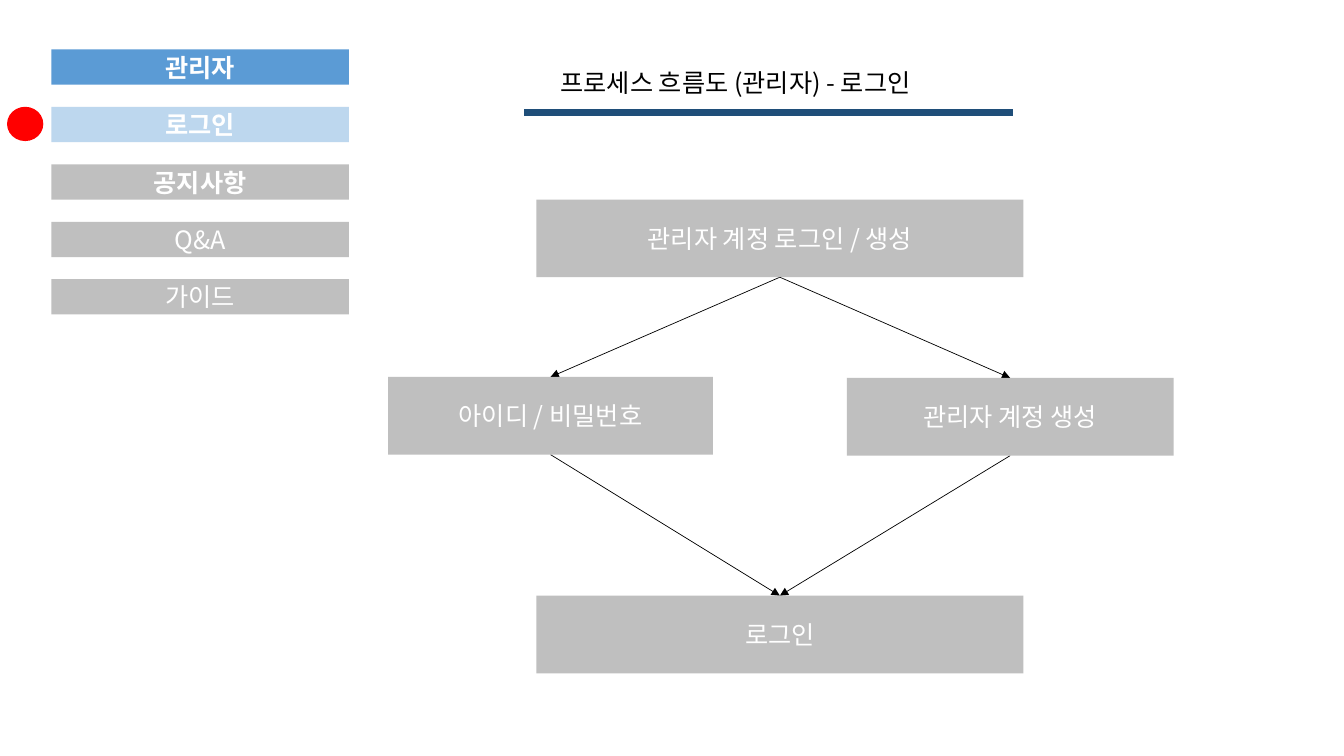
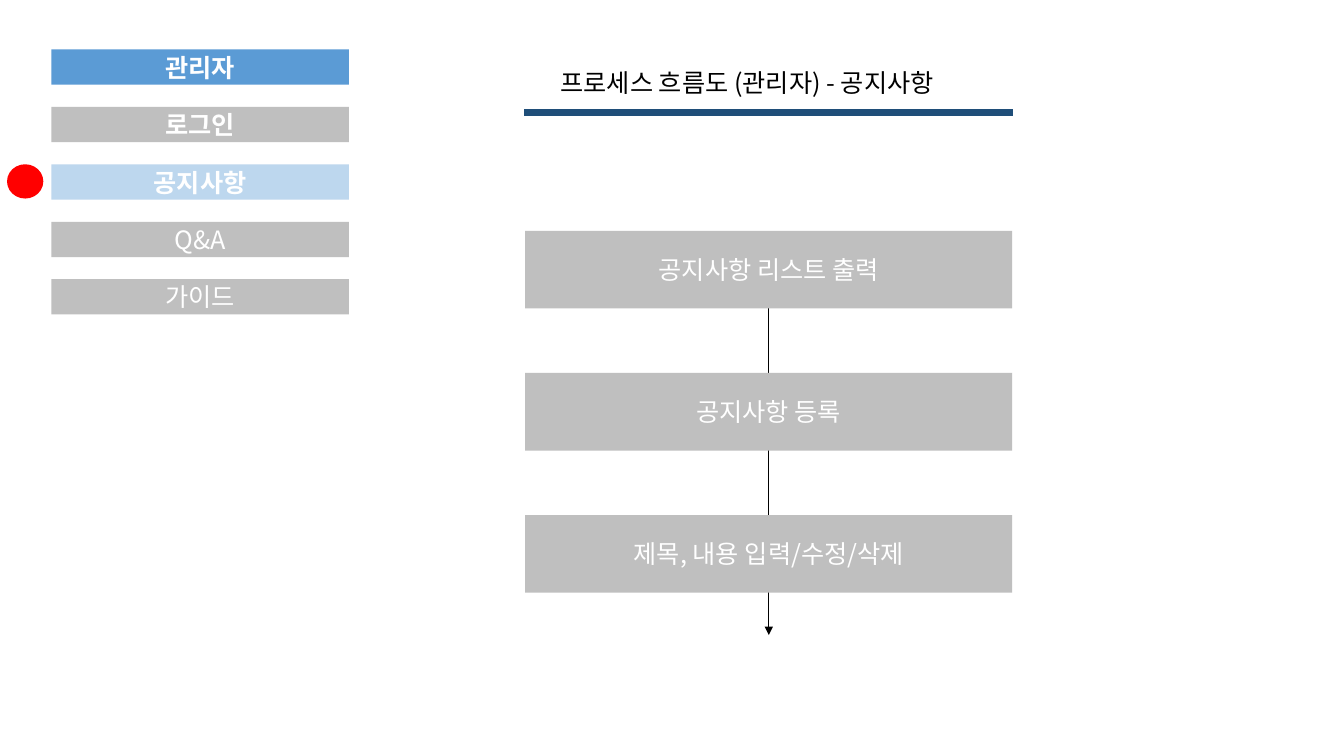
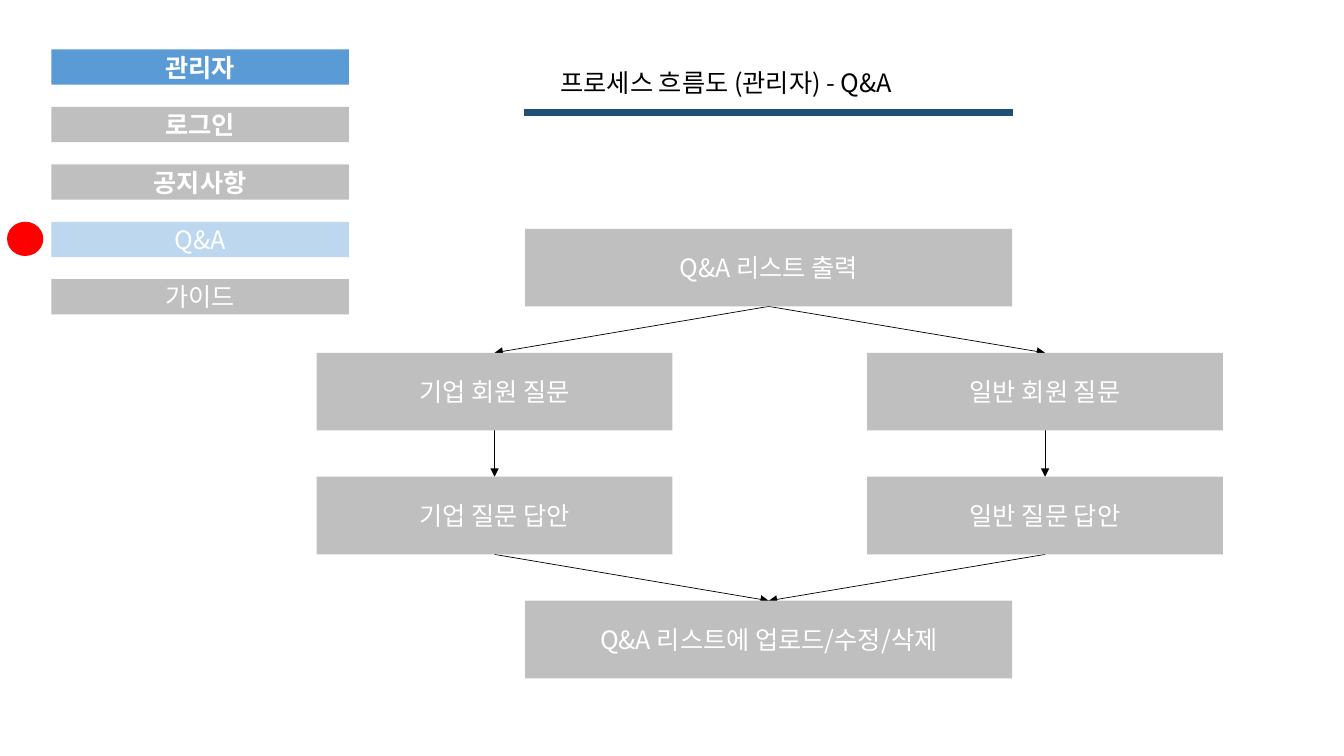
from lxml import etree
from pptx import Presentation, util as u
from pptx.dml.color import RGBColor
from pptx.enum import shapes, text
from pptx.oxml.ns import qn

hues = {"head": "5B9BD5", "live": "BDD7EE", "gray": "BFBFBF", "rule": "1F4E79",
        "dot": "FF0000", "ink": "000000", "white": "FFFFFF"}
face = "Noto Sans CJK KR"
font = {"name": face, "size": u.Pt(18)}
menu = [("관리자", True), ("로그인", True), ("공지사항", True),
        ("Q&A", False), ("가이드", False)]
top, step, high = 0.49, 0.57, 0.77

pages = [
    {"live": 1, "width": 0.5,
     "boxes": [(5.32, 1.98, 4.83, "관리자 계정 로그인 / 생성"),
               (3.85, 3.74, 3.22, "아이디 / 비밀번호"),
               (8.4, 3.75, 3.24, "관리자 계정 생성"),
               (5.32, 5.91, 4.83, "로그인")],
     "links": [(0, 1), (0, 2), (1, 3), (2, 3)]},
    {"live": 2, "width": 1,
     "boxes": [(5.21, 2.29 + 1.41 * i, 4.83, words) for i, words in enumerate(
         ["공지사항 리스트 출력", "공지사항 등록", "제목, 내용 입력/수정/삭제"])],
     "links": [(0, None)]},
    {"live": 3, "width": 0.5,
     "boxes": [(5.21, 2.27, 4.83, "Q&A 리스트 출력"),
               (3.14, 3.5, 3.53, "기업 회원 질문"),
               (8.6, 3.5, 3.53, "일반 회원 질문"),
               (3.14, 4.73, 3.53, "기업 질문 답안"),
               (8.6, 4.73, 3.53, "일반 질문 답안"),
               (5.21, 5.96, 4.83, "Q&A 리스트에 업로드/수정/삭제")],
     "links": [(0, 1), (0, 2), (1, 3), (2, 4), (3, 5), (4, 5)]},
]


def write(shape, words, hue, bold, align, anchor):
    frame = shape.text_frame
    frame.word_wrap = True
    frame.vertical_anchor = anchor
    para = frame.paragraphs[0]
    para.alignment = align
    run = para.add_run()
    run.text = words
    for key, val in {**font, "bold": bold}.items():
        setattr(run.font, key, val)
    run.font.color.rgb = RGBColor.from_string(hues[hue])
    etree.SubElement(run._r.get_or_add_rPr(), qn("a:ea"), typeface=face)


def block(slide, kind, spot, hue, words="", bold=False):
    shape = slide.shapes.add_shape(kind, *map(u.Inches, spot))
    shape.shadow.inherit = False
    shape.fill.solid()
    shape.fill.fore_color.rgb = RGBColor.from_string(hues[hue])
    shape.line.fill.background()
    if words:
        write(shape, words, "white", bold, text.PP_ALIGN.CENTER, text.MSO_ANCHOR.MIDDLE)
    return shape


deck = Presentation()
deck.slide_width, deck.slide_height = u.Inches(13.33), u.Inches(7.5)
rect, oval = shapes.MSO_SHAPE.RECTANGLE, shapes.MSO_SHAPE.OVAL

for page in pages:
    slide = deck.slides.add_slide(deck.slide_layouts[5])
    live, boxes, links = page["live"], page["boxes"], page["links"]

    title = slide.shapes.title
    spot = {"left": 5.46, "top": 0.62, "width": 4.32, "height": 0.4}
    for key, val in spot.items():
        setattr(title, key, u.Inches(val))
    write(title, f"프로세스 흐름도 (관리자) - {menu[live][0]}", "ink", False,
          text.PP_ALIGN.LEFT, text.MSO_ANCHOR.TOP)
    title.text_frame.auto_size = text.MSO_AUTO_SIZE.NONE

    left, _, wide, _ = boxes[0]
    mid = left + wide / 2
    ends = [(5.2, 1.12, 10.05, 1.12, "rule", 5)]
    ends += [(mid, 2.66, mid, 6.3, "ink", page["width"])] * len(links)
    lines = []
    for *spot, hue, width in ends:
        line = slide.shapes.add_connector(shapes.MSO_CONNECTOR.STRAIGHT, *map(u.Inches, spot))
        line.line.color.rgb = RGBColor.from_string(hues[hue])
        line.line.width = u.Pt(width)
        if hue == "ink":
            etree.SubElement(line.line._get_or_add_ln(), qn("a:tailEnd"), type="triangle")
        etree.SubElement(line._element.spPr, qn("a:effectLst"))
        lines.append(line)

    for i, (words, bold) in enumerate(menu):
        hue = "head" if i == 0 else "live" if i == live else "gray"
        block(slide, rect, (0.51, top + step * i, 2.95, 0.35), hue, words, bold)
    block(slide, oval, (0.07, top + step * live, 0.36, 0.34), "dot")

    nodes = [block(slide, rect, (x, y, w, high), "gray", words) for x, y, w, words in boxes]
    for line, (start, stop) in zip(lines[1:], links):
        line.begin_connect(nodes[start], 2)
        if stop is not None:
            line.end_connect(nodes[stop], 0)

deck.save("out.pptx")
